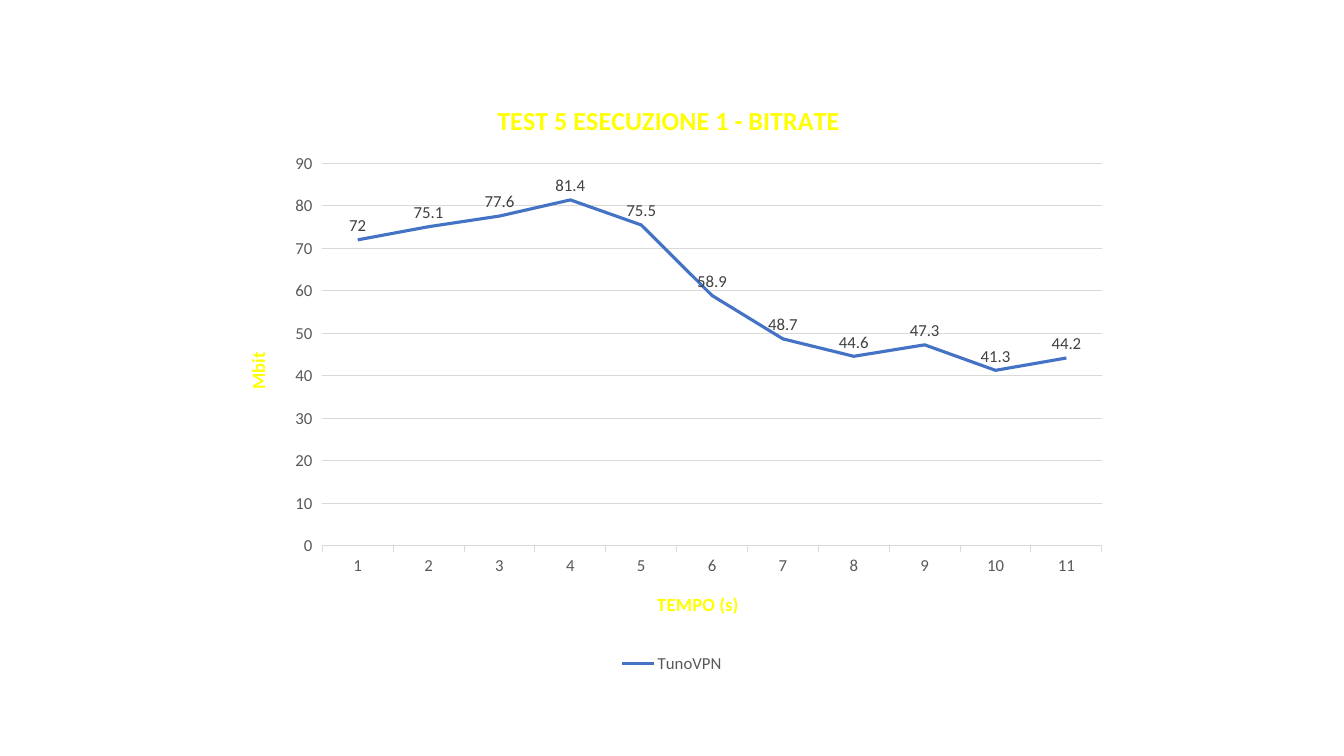
import pptx
import pptx.chart.data
import pptx.dml.color
import pptx.enum.chart
import pptx.oxml
import pptx.oxml.ns
import pptx.util

Cm = pptx.util.Cm
Pt = pptx.util.Pt
enum = pptx.enum.chart


def color(code):
    return pptx.dml.color.RGBColor.from_string(code)


class Deck:
    face = "Calibri"
    blue = "4472C4"
    grid = "D9D9D9"
    gray = "595959"
    dark = "404040"
    gold = "FFFF00"

    def __init__(self):
        self.prs = pptx.Presentation()
        self.prs.slide_width = Cm(33.87)
        self.prs.slide_height = Cm(19.05)
        self.slide = self.prs.slides.add_slide(self.prs.slide_layouts[6])

    def font(self, font, size, code, bold=False):
        font.name = self.face
        font.size = Pt(size)
        font.bold = bold
        font.color.rgb = color(code)

    def line(self, form, code, width):
        form.line.color.rgb = color(code)
        form.line.width = Pt(width)

    def place(self, node, **spots):
        old = node.find(pptx.oxml.ns.qn("c:layout"))
        if old is not None:
            node.remove(old)
        inner = '<c:layoutTarget val="inner"/>' if "w" in spots else ""
        modes = "".join(f'<c:{key}Mode val="edge"/>' for key in "xy")
        vals = "".join(f'<c:{key} val="{val}"/>' for key, val in spots.items())
        part = pptx.oxml.parse_xml(
            f'<c:layout {pptx.oxml.ns.nsdecls("c")}><c:manualLayout>'
            f"{inner}{modes}{vals}</c:manualLayout></c:layout>")
        text = node.find(pptx.oxml.ns.qn("c:tx"))
        if text is None:
            node.insert(0, part)
        else:
            text.addnext(part)

    def title(self, title, text, size, x, y):
        run = title.text_frame.paragraphs[0].add_run()
        run.text = text
        self.font(run.font, size, self.gold, True)
        self.place(title._element, x=x, y=y)

    def axis(self, axis, text, x, y):
        self.font(axis.tick_labels.font, 12, self.gray)
        self.title(axis.axis_title, text, 13.3, x, y)
        axis.major_tick_mark = enum.XL_TICK_MARK.OUTSIDE
        axis.minor_tick_mark = enum.XL_TICK_MARK.NONE

    def chart(self, name, cats, vals, box):
        data = pptx.chart.data.CategoryChartData()
        data.categories = cats
        data.add_series(name, vals)
        chart = self.slide.shapes.add_chart(
            enum.XL_CHART_TYPE.LINE, *map(Cm, box), data).chart
        self.font(chart.font, 10, "000000")
        chart.has_legend = True
        chart.legend.position = enum.XL_LEGEND_POSITION.BOTTOM
        chart.legend.include_in_layout = False
        self.font(chart.legend.font, 12, self.gray)
        plot = chart.plots[0]
        plot.vary_by_categories = False
        row = plot.series[0]
        row.smooth = False
        row.marker.style = enum.XL_MARKER_STYLE.NONE
        self.line(row.format, self.blue, 2.25)
        tags = row.data_labels
        tags.show_value = True
        tags.position = enum.XL_LABEL_POSITION.ABOVE
        self.font(tags.font, 12, self.dark)
        area = chart._chartSpace.chart.plotArea
        self.place(area, x=0.11, y=0.14, w=0.87, h=0.64)
        return chart


def main():
    deck = Deck()
    vals = [72, 75.1, 77.6, 81.4, 75.5, 58.9, 48.7, 44.6, 47.3, 41.3, 44.2]
    cats = [str(num) for num in range(1, len(vals) + 1)]
    chart = deck.chart("TunoVPN", cats, vals, (5.64, 2.01, 22.58, 15.06))
    deck.title(chart.chart_title, "TEST 5 ESECUZIONE 1 - BITRATE", 18.6, 0.3, 0.03)
    time = chart.category_axis
    deck.axis(time, "TEMPO (s)", 0.48, 0.85)
    deck.line(time.format, deck.grid, 0.75)
    rate = chart.value_axis
    deck.axis(rate, "Mbit", 0.02, 0.45)
    rate.format.line.fill.background()
    rate.minimum_scale = 0
    rate.maximum_scale = 90
    rate.major_unit = 10
    deck.line(rate.major_gridlines.format, deck.grid, 0.75)
    deck.prs.save("out.pptx")


if __name__ == "__main__":
    main()
